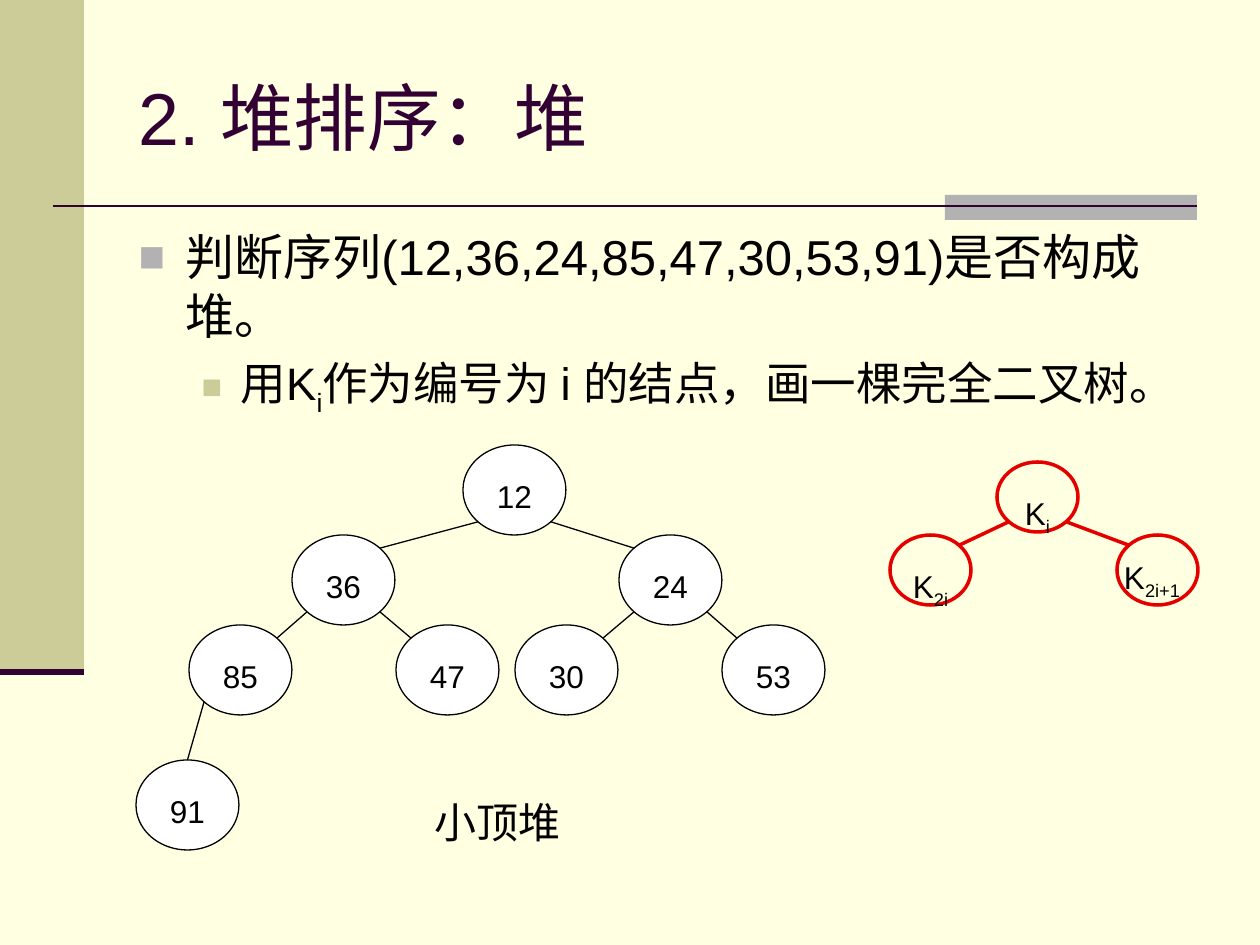
import math
from pptx import Presentation
from pptx.dml.color import RGBColor
from pptx.enum.shapes import MSO_CONNECTOR, MSO_SHAPE
from pptx.enum.text import MSO_ANCHOR, MSO_AUTO_SIZE, PP_ALIGN
from pptx.oxml.ns import qn
from pptx.util import Emu, Pt
from lxml import etree

RECTANGLE, OVAL = MSO_SHAPE.RECTANGLE, MSO_SHAPE.OVAL
STRAIGHT = MSO_CONNECTOR.STRAIGHT
TOP, MIDDLE = MSO_ANCHOR.TOP, MSO_ANCHOR.MIDDLE
LEFT, CENTER = PP_ALIGN.LEFT, PP_ALIGN.CENTER
NO_FIT = MSO_AUTO_SIZE.NONE
GROW = MSO_AUTO_SIZE.SHAPE_TO_FIT_TEXT

THEME = {
    "font": "Arial", "page": "FFFFE1", "olive": "CCCC99", "gray": "B2B2B2",
    "plum": "330033", "ink": "000000", "white": "FFFFFF", "red": "E50000",
    "title": 42, "body": 28, "sub": 26, "node": 18, "caption": 24,
    "thin": 0.74, "thick": 2.01, "rule": 1.5, "base": 3.49,
}

TITLE = [("2. 堆排序：堆", False)]
BULLETS = [
    {"runs": [("判断序列(12,36,24,85,47,30,53,91)是否构成堆。", False)], "size": "body",
     "color": "gray", "scale": 90, "margin": 47, "hang": 47, "before": 7},
    {"runs": [("用K", False), ("i", True), ("作为编号为 i 的结点，画一棵完全二叉树。", False)],
     "size": "sub", "color": "olive", "scale": 75, "margin": 102, "hang": 39, "before": 6.5},
]
CAPTION = [("小顶堆", False)]
PANELS = [((0, 0, 84, 672), "olive"), ((945, 195, 252, 25), "gray")]
RULES = [((53, 206), (1197, 206), "rule"), ((0, 672), (84, 672), "base")]

HEAP = [12, 36, 24, 85, 47, 30, 53, 91]
HEAP_LEFTS = [463, 292, 619, 189, 396, 515, 722, 136]
HEAP_TOPS = [445, 535, 625, 760]
HEAP_SIZE = (103, 90)
RULE_NODES = [
    ((997, 462), (997, 462), OVAL, "i", CENTER),
    ((890, 535), (890, 535), OVAL, "2i", CENTER),
    ((1117, 535), (1124, 537), RECTANGLE, "2i+1", LEFT),
]
RULE_SIZE = (81, 70)


def px(value):
    return Emu(round(value * 914400 / 126))


def color(name):
    return RGBColor.from_string(THEME[name])


def add_runs(paragraph, runs, size, tint="ink"):
    for text, lowered in runs:
        run = paragraph.add_run()
        run.text = text
        run.font.name = THEME["font"]
        run.font.size = Pt(THEME[size])
        run.font.color.rgb = color(tint)
        if lowered:
            run.font._element.set("baseline", "-25000")


def add_bullet(paragraph, item):
    properties = paragraph._p.get_or_add_pPr()
    properties.set("marL", str(px(item["margin"])))
    properties.set("indent", str(-px(item["hang"])))
    tint = etree.SubElement(properties, qn("a:buClr"))
    etree.SubElement(tint, qn("a:srgbClr"), val=THEME[item["color"]])
    etree.SubElement(properties, qn("a:buSzPct"), val=str(item["scale"] * 1000))
    etree.SubElement(properties, qn("a:buFont"), typeface=THEME["font"])
    etree.SubElement(properties, qn("a:buChar"), char="■")


def place(shape, left, top, width, height):
    shape.left, shape.top, shape.width, shape.height = map(px, (left, top, width, height))


def add_panel(kind, box, fill=None, line=None, weight="thin"):
    shape = slide.shapes.add_shape(kind, *map(px, box))
    shape.shadow.inherit = False
    if fill:
        shape.fill.solid()
        shape.fill.fore_color.rgb = color(fill)
    else:
        shape.fill.background()
    if line:
        shape.line.color.rgb = color(line)
        shape.line.width = Pt(THEME[weight])
    else:
        shape.line.fill.background()
    return shape


def add_label(shape, runs, align=CENTER):
    frame = shape.text_frame
    frame.margin_left = frame.margin_right = frame.margin_top = frame.margin_bottom = 0
    frame.vertical_anchor = TOP
    paragraph = frame.paragraphs[0]
    paragraph.alignment = align
    paragraph.line_spacing = 1.5
    add_runs(paragraph, runs, "node")


def add_line(start, end, tint, weight):
    line = slide.shapes.add_connector(STRAIGHT, *map(px, (*start, *end)))
    line.line.color.rgb = color(tint)
    line.line.width = Pt(THEME[weight])
    etree.SubElement(line._element.spPr, qn("a:effectLst"))


def rim(corner, size, across, down):
    diagonal = math.sqrt(0.5) if across else 1
    return tuple(origin + length / 2 * (1 + diagonal * side)
                 for origin, length, side in zip(corner, size, (across, down)))


def add_edges(corners, size, tint, weight):
    for number in range(2, len(corners) + 1):
        parent, child = corners[number // 2 - 1], corners[number - 1]
        side = 1 if number % 2 else -1
        arrival = 0 if number >= 8 else -side
        add_line(rim(parent, size, side, 1), rim(child, size, arrival, -1), tint, weight)


presentation = Presentation()
presentation.slide_width, presentation.slide_height = px(1260), px(945)
slide = presentation.slides.add_slide(presentation.slide_layouts[1])
slide.background.fill.solid()
slide.background.fill.fore_color.rgb = color("page")

for box, fill in PANELS:
    add_panel(RECTANGLE, box, fill)
for start, end, weight in RULES:
    add_line(start, end, "plum", weight)

title = slide.shapes.title
place(title, 126, 38, 1071, 157)
title.text_frame.vertical_anchor = MIDDLE
title.text_frame.auto_size = NO_FIT
title.text_frame.paragraphs[0].alignment = LEFT
add_runs(title.text_frame.paragraphs[0], TITLE, "title", "plum")

body = slide.placeholders[1]
place(body, 126, 220, 1071, 624)
body.text_frame.auto_size = NO_FIT
for level, item in enumerate(BULLETS):
    paragraph = body.text_frame.add_paragraph() if level else body.text_frame.paragraphs[0]
    paragraph.level = level
    paragraph.space_before = Pt(item["before"])
    add_bullet(paragraph, item)
    add_runs(paragraph, item["runs"], item["size"])

heap_corners = [(left, HEAP_TOPS[int(math.log2(number))])
                for number, left in enumerate(HEAP_LEFTS, 1)]
for key, corner in zip(HEAP, heap_corners):
    node = add_panel(OVAL, (*corner, *HEAP_SIZE), "white", "ink")
    add_label(node, [(str(key), False)])
add_edges(heap_corners, HEAP_SIZE, "ink", "thin")

for corner, label_corner, kind, index, align in RULE_NODES:
    outlined = kind == OVAL
    label = add_panel(kind, (*label_corner, *RULE_SIZE), "page",
                      "red" if outlined else None, "thick")
    add_label(label, [("K", False), (index, True)], align)
    if not outlined:
        add_panel(OVAL, (*corner, *RULE_SIZE), None, "red", "thick")
add_edges([node[0] for node in RULE_NODES], RULE_SIZE, "red", "thick")

caption = slide.shapes.add_textbox(*map(px, (422, 790, 151, 63)))
caption.text_frame.word_wrap = False
caption.text_frame.auto_size = GROW
add_runs(caption.text_frame.paragraphs[0], CAPTION, "caption")

presentation.save("out.pptx")
